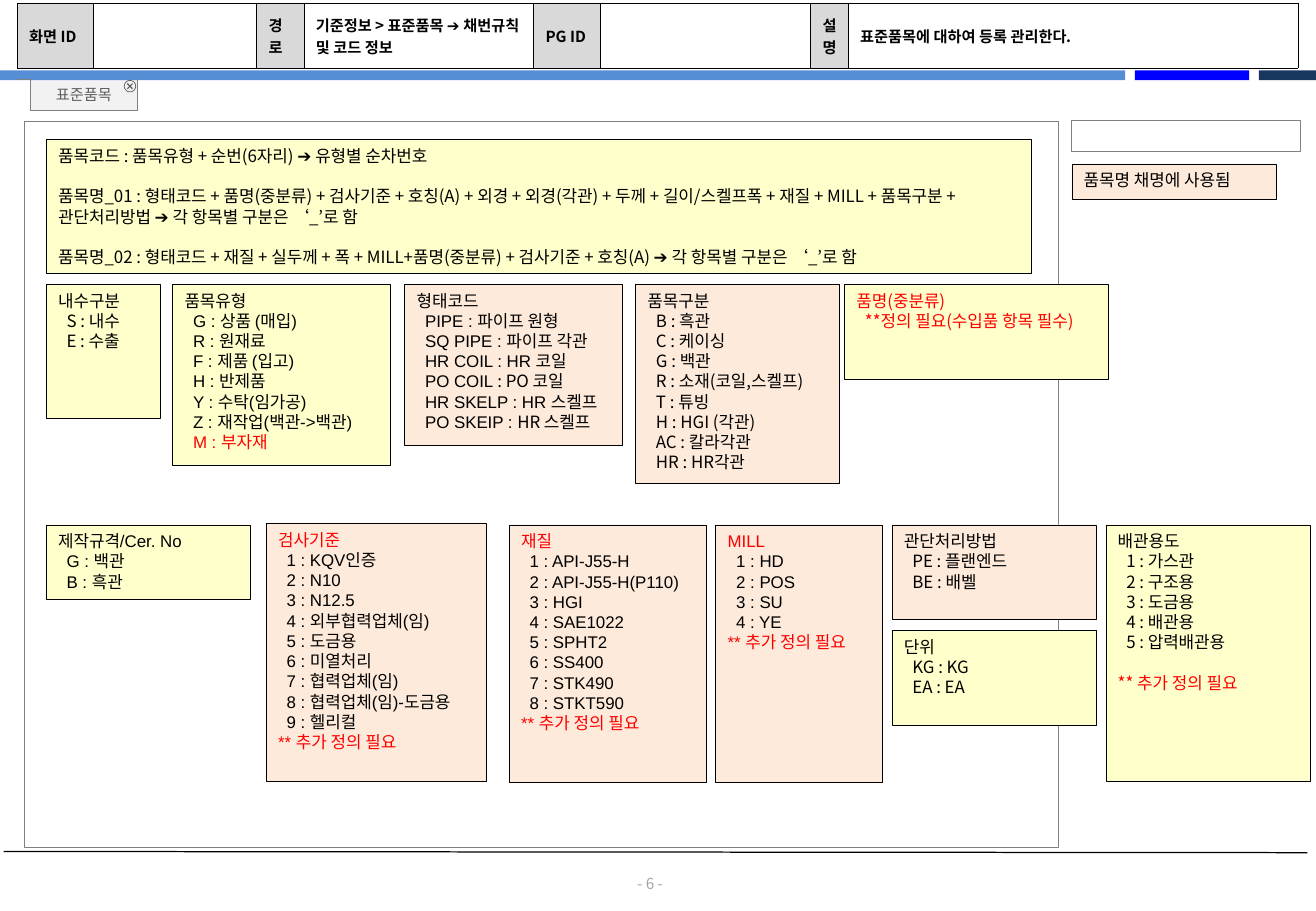
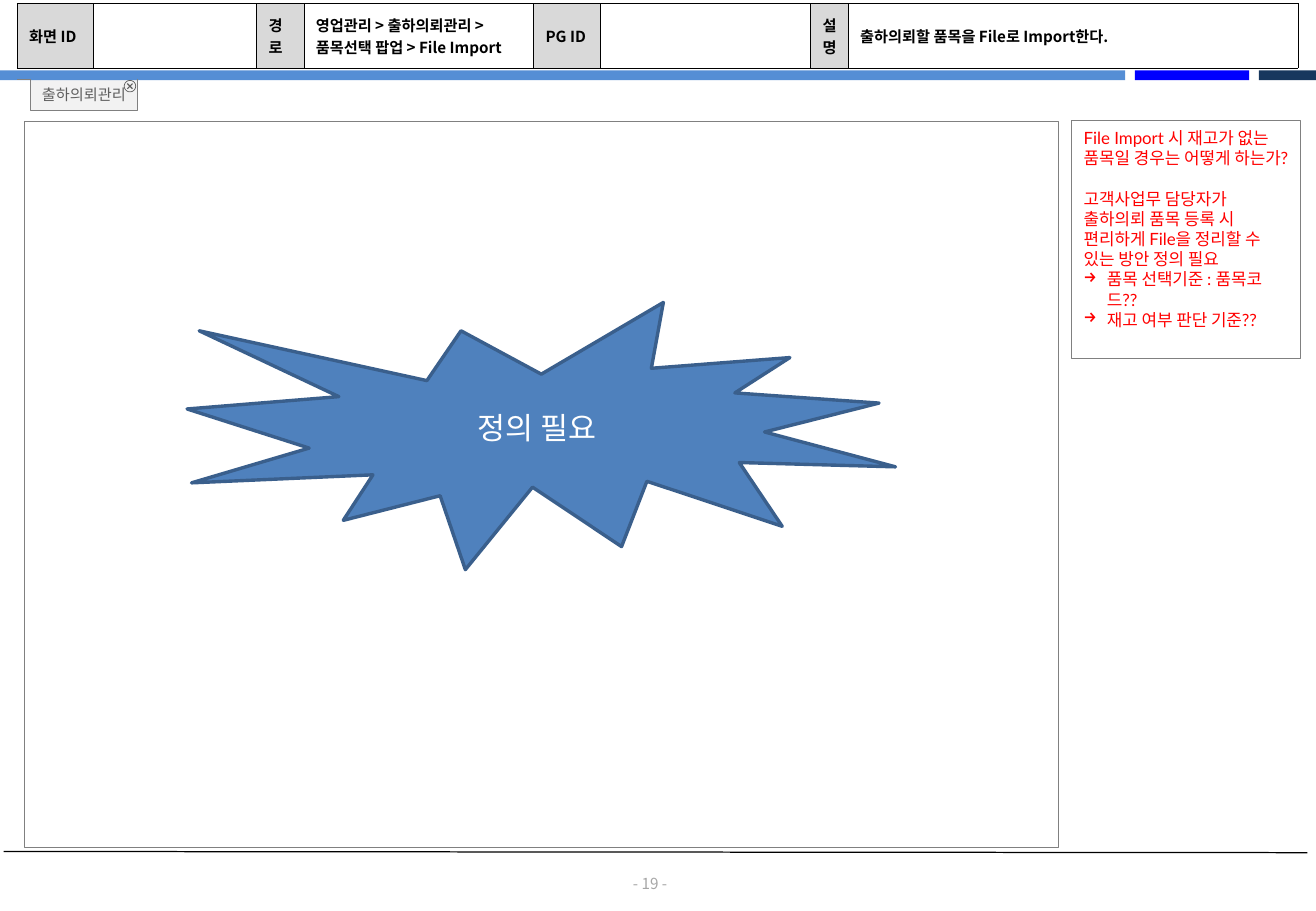
import math
from lxml import etree
from pptx import Presentation
from pptx.dml.color import RGBColor
from pptx.enum.shapes import MSO_CONNECTOR, MSO_SHAPE
from pptx.enum.text import MSO_ANCHOR, PP_ALIGN
from pptx.oxml.ns import qn
from pptx.util import Inches, Pt

RECT, BURST = MSO_SHAPE.RECTANGLE, MSO_SHAPE.EXPLOSION1
STRAIGHT = MSO_CONNECTOR.STRAIGHT
TOP, MIDDLE = MSO_ANCHOR.TOP, MSO_ANCHOR.MIDDLE
LEFT, CENTER = PP_ALIGN.LEFT, PP_ALIGN.CENTER

# Shared look
NOTO, ARIAL, LATO = "Noto Sans CJK KR", "Arial", "Lato"
BLACK, WHITE, RED, GRAY = "000000", "FFFFFF", "FF0000", "808080"
YELLOW, PEACH, LABEL = "FFFFCC", "FDEADA", "D9D9D9"
TAB_FILL, TAB_INK, PAGE_INK = "F2F2F2", "5F5F5F", "A6A6A6"
BANDS = [(0, 9.26, "558ED5"), (9.34, 0.94, "0000FF"), (10.36, 0.47, "17375E")]
COLUMNS = [0.63, 1.34, 0.39, 1.89, 0.55, 1.73, 0.31, 3.7]
ITEM_INDENT = 0.07
MORE = "** 추가 정의 필요"


def rgb(value):
    return RGBColor.from_string(value)


def inches(*values):
    return [Inches(value) for value in values]


def paint(shape, fill=None, line=None, width=0.5):
    if fill:
        shape.fill.solid()
        shape.fill.fore_color.rgb = rgb(fill)
    else:
        shape.fill.background()
    if line:
        shape.line.color.rgb = rgb(line)
        shape.line.width = Pt(width)
    else:
        shape.line.fill.background()


def add_box(slide, place, fill=None, line=None, width=0.5, kind=RECT):
    box = slide.shapes.add_shape(kind, *inches(*place))
    box.shadow.inherit = False
    paint(box, fill, line, width)
    return box


def add_line(slide, start, end, color, width):
    line = slide.shapes.add_connector(STRAIGHT, *inches(*start, *end))
    line.line.color.rgb = rgb(color)
    line.line.width = Pt(width)
    etree.SubElement(line._element.spPr, qn("a:effectLst"))


def set_frame(frame, anchor=TOP, margins=(0.1, 0.05, 0.1, 0.05)):
    frame.word_wrap = True
    settings = dict(zip(("margin_left", "margin_top", "margin_right", "margin_bottom"),
                        inches(*margins)))
    for name, value in {**settings, "vertical_anchor": anchor}.items():
        setattr(frame, name, value)


def add_run(paragraph, text, size, color, latin=NOTO, bold=False):
    run = paragraph.add_run()
    run.text = text
    for name, value in {"size": Pt(size), "bold": bold, "name": latin}.items():
        setattr(run.font, name, value)
    run.font.color.rgb = rgb(color)
    east_asian = etree.SubElement(run.font._element, qn("a:ea"))
    east_asian.set("typeface", NOTO)


def add_paragraph(frame, text, size=10, color=BLACK, latin=NOTO, align=LEFT,
                  spacing=Pt(12), gap=0, indent=0, bullet=None, bold=False):
    """Write one paragraph; text after a bar takes the Korean font throughout."""
    first = frame.paragraphs[0]
    paragraph = frame.add_paragraph() if first.runs else first
    properties = paragraph._p.get_or_add_pPr()
    if indent:
        properties.set("marL", str(Inches(indent)))
        properties.set("indent", str(-Inches(indent) if bullet else 0))
    if bullet:
        etree.SubElement(properties, qn("a:buChar")).set("char", bullet)
    formats = {"alignment": align, "line_spacing": spacing}
    if gap:
        formats["space_before"] = Pt(gap)
    for name, value in formats.items():
        setattr(paragraph, name, value)
    for number, part in enumerate(text.split("|")):
        add_run(paragraph, part, size, color, NOTO if number else latin, bold)


# Parts on every slide
def add_header(slide, route, summary):
    table = slide.shapes.add_table(1, len(COLUMNS), *inches(0.14, 0.03, sum(COLUMNS), 0.53)).table
    table.first_row = table.horz_banding = False
    texts = ["화면 ID", "", "경로", route, "PG ID", "", "설명", summary]
    for index, (width, text) in enumerate(zip(COLUMNS, texts)):
        table.columns[index].width = Inches(width)
        cell = table.cell(0, index)
        cell.vertical_anchor = MIDDLE
        properties = cell._tc.get_or_add_tcPr()
        for side in ("lnL", "lnR", "lnT", "lnB"):
            border = etree.SubElement(properties, qn("a:" + side), w=str(Pt(0.25)))
            solid = etree.SubElement(border, qn("a:solidFill"))
            etree.SubElement(solid, qn("a:srgbClr"), val=BLACK)
        cell.fill.solid()
        cell.fill.fore_color.rgb = rgb(WHITE if index % 2 else LABEL)
        if text:
            add_paragraph(cell.text_frame, text, size=9, spacing=1.0, bold=True)


def add_outline(slide, contours, close):
    """Build one freeform from lists of points in inches."""
    builder = slide.shapes.build_freeform(*inches(*contours[0][0]))
    for number, points in enumerate(contours):
        if number:
            builder.move_to(*inches(*points[0]))
        builder.add_line_segments([inches(*point) for point in points[1:]], close=close)
    outline = builder.convert_to_shape()
    outline.shadow.inherit = False
    return outline


def add_close_icon(slide, x, y):
    def circle(radius, steps=32):
        turns = [2 * math.pi * step / steps for step in range(steps)]
        return [(x + radius * math.cos(turn), y + radius * math.sin(turn)) for turn in turns]

    arm, half = 0.03, 0.005
    cross = []
    for quarter in range(4):
        turn = math.pi / 4 + quarter * math.pi / 2
        cos, sin = math.cos(turn), math.sin(turn)
        cross += [(x + a * cos - b * sin, y + a * sin + b * cos)
                  for a, b in ((arm, -half), (arm, half), (half, half))]
    paint(add_outline(slide, [circle(0.05), circle(0.044), cross], True), TAB_INK)


def add_tab(slide, name):
    left, top, width, height = 0.25, 0.65, 0.88, 0.26
    title = slide.shapes.title
    title.left, title.top, title.width, title.height = inches(left, top, width, height)
    paint(title, TAB_FILL)
    set_frame(title.text_frame, MIDDLE, (0.05,) * 4)
    add_paragraph(title.text_frame, name, size=9, color=TAB_INK, latin=LATO,
                  align=CENTER, spacing=1.0)
    add_line(slide, (left, top), (0.14, top), GRAY, 0.5)
    right, bottom = left + width, top + height
    edge = [(right, top), (right, bottom), (left, bottom), (left, top)]
    paint(add_outline(slide, [edge], False), line=GRAY)
    add_close_icon(slide, 1.07, 0.71)


def add_screen(deck, tab, route, summary, page, side_height):
    """Add a slide with the shared frame; return it and its side panel."""
    slide = deck.slides.add_slide(deck.slide_layouts[5])
    for left, width, color in BANDS:
        add_box(slide, (left, 0.58, width, 0.08), color)
    add_line(slide, (0.03, 7.01), (10.76, 7.02), BLACK, 0.75)
    number = slide.shapes.add_textbox(*inches(5.05, 7.2, 0.6, 0.15)).text_frame
    set_frame(number, MIDDLE, (0,) * 4)
    add_paragraph(number, f"- {page} -", size=9, color=PAGE_INK, align=CENTER, spacing=1.0)
    add_box(slide, (0.2, 1, 8.51, 5.98), line=GRAY)
    add_header(slide, route, summary)
    add_tab(slide, tab)
    return slide, add_box(slide, (8.82, 0.99, 1.88, side_height), WHITE, GRAY)


# Code boxes
def add_code_box(slide, place, fill, heading, items=(), latin=NOTO, red=(), note=None, gap=0):
    frame = add_box(slide, place, fill, BLACK, 0.25).text_frame
    set_frame(frame, margins=(0.1, 0.05, 0, 0.05))
    for text in (heading, *items):
        add_paragraph(frame, text, color=RED if text in red else BLACK, latin=latin,
                      indent=0 if text == heading else ITEM_INDENT)
    if note:
        add_paragraph(frame, note, color=RED, latin=latin, gap=gap)


def numbered(*names):
    return [f"{number} : {name}" for number, name in enumerate(names, 1)]


def add_item_codes(deck):
    slide, _ = add_screen(deck, "표준품목", "기준정보 > 표준품목 ➔ 채번규칙 및 코드 정보",
                          "표준품목에 대하여 등록 관리한다.", 6, 0.26)

    # Naming rules
    rules = add_box(slide, (0.38, 1.15, 8.11, 1.1), YELLOW, BLACK, 0.25).text_frame
    set_frame(rules)
    for number, rule in enumerate([
            "품목코드 : 품목유형 + 순번(6자리) ➔ 유형별 순차번호",
            "품목명_01 : 형태코드 + 품명(중분류) + 검사기준 + 호칭(A) + 외경 + 외경(각관) + 두께 + "
            "길이/스켈프폭 + 재질 + MILL + 품목구분 + 관단처리방법 ➔ 각 항목별 구분은 ‘_’로 함",
            "품목명_02 : 형태코드 + 재질 + 실두께 + 폭 + MILL+품명(중분류) + 검사기준 + 호칭(A) ➔ "
            "각 항목별 구분은 ‘_’로 함"]):
        add_paragraph(rules, rule, gap=12 if number else 0)

    # Upper row
    row = 2.34
    add_code_box(slide, (0.38, row, 0.94, 1.1), YELLOW, "내수구분", ["S : 내수", "E : 수출"])
    add_code_box(slide, (1.42, row, 1.79, 1.49), YELLOW, "품목유형",
                 ["G : 상품 (매입)", "R : 원재료", "F : 제품 (입고)", "H : 반제품",
                  "Y : 수탁(임가공)", "Z : 재작업(백관->백관)", "M : 부자재"],
                 ARIAL, red=["M : 부자재"])
    add_code_box(slide, (3.33, row, 1.79, 1.33), PEACH, "형태코드",
                 ["PIPE : 파이프 원형", "SQ PIPE : 파이프 각관", "HR COIL : HR 코일",
                  "PO COIL |: PO 코일", "HR SKELP : HR 스켈프", "PO SKEIP : |HR 스켈프"], ARIAL)
    add_code_box(slide, (5.23, row, 1.68, 1.64), PEACH, "품목구분",
                 ["B : 흑관", "C : 케이싱", "G : 백관", "R : 소재(코일,스켈프)", "T : 튜빙",
                  "H : HGI (각관)", "AC : 칼라각관", "HR : HR각관"])
    group, pending = "품명(중분류)", "**정의 필요(수입품 항목 필수)"
    add_code_box(slide, (6.95, row, 2.17, 0.78), YELLOW, group, [pending], red=[group, pending])

    # Lower row
    row = 4.32
    add_code_box(slide, (0.38, row, 1.68, 0.61), YELLOW, "제작규격/Cer. No",
                 ["G : 백관", "B : 흑관"], ARIAL)
    add_code_box(slide, (2.19, 4.31, 1.81, 2.12), PEACH, "검사기준",
                 numbered("KQV인증", "N10", "N12.5", "외부협력업체(임)", "도금용", "미열처리",
                          "협력업체(임)", "협력업체(임)-도금용", "헬리컬"),
                 ARIAL, ["검사기준"], MORE)
    add_code_box(slide, (4.19, row, 1.62, 2.12), PEACH, "재질",
                 numbered("API-J55-H", "API-J55-H(P110)", "HGI", "SAE1022", "SPHT2", "SS400",
                          "STK490", "STKT590"), ARIAL, ["재질"], MORE)
    add_code_box(slide, (5.89, row, 1.37, 2.12), PEACH, "MILL",
                 numbered("HD", "POS", "SU", "YE"), ARIAL, ["MILL"], MORE)
    add_code_box(slide, (7.34, row, 1.68, 0.78), PEACH, "관단처리방법",
                 ["PE : 플랜엔드", "BE : 배벨"])
    add_code_box(slide, (7.34, 5.19, 1.68, 0.78), YELLOW, "단위", ["KG : KG", "EA : EA"])
    add_code_box(slide, (9.1, row, 1.68, 2.11), YELLOW, "배관용도",
                 numbered("가스관", "구조용", "도금용", "배관용", "압력배관용"), note=MORE, gap=12)

    # Legend
    add_code_box(slide, (8.82, 1.35, 1.68, 0.29), PEACH, "품목명 채명에 사용됨")


def add_shipping_import(deck):
    slide, side = add_screen(deck, "출하의뢰관리",
                             "영업관리 > 출하의뢰관리 > 품목선택 팝업 > File Import",
                             "출하의뢰할 품목을 File로 Import한다.", 19, 1.96)

    # Open questions
    questions = side.text_frame
    set_frame(questions, margins=(0.1, 0.06, 0.1, 0.06))
    ink = {"color": RED, "latin": LATO}
    add_paragraph(questions, "File Import 시 재고가 없는 품목일 경우는 어떻게 하는가?", **ink)
    add_paragraph(questions, "고객사업무 담당자가 출하의뢰 품목 등록 시 편리하게 File을 정리할 수 있는 "
                  "방안 정의 필요", gap=12, **ink)
    for point in ("품목 선택기준 : 품목코드??", "재고 여부 판단 기준??"):
        add_paragraph(questions, point, indent=0.19, bullet="→", **ink)

    # Callout
    callout = add_box(slide, (1.54, 2.49, 5.83, 2.2), "4F81BD", "3A5F8C", 2, BURST).text_frame
    set_frame(callout, MIDDLE)
    add_paragraph(callout, "정의 필요", size=18, color=WHITE, align=CENTER, spacing=1.0)


def main():
    deck = Presentation()
    deck.slide_width, deck.slide_height = inches(10.83, 7.5)
    add_item_codes(deck)
    add_shipping_import(deck)
    deck.save("out.pptx")


if __name__ == "__main__":
    main()
